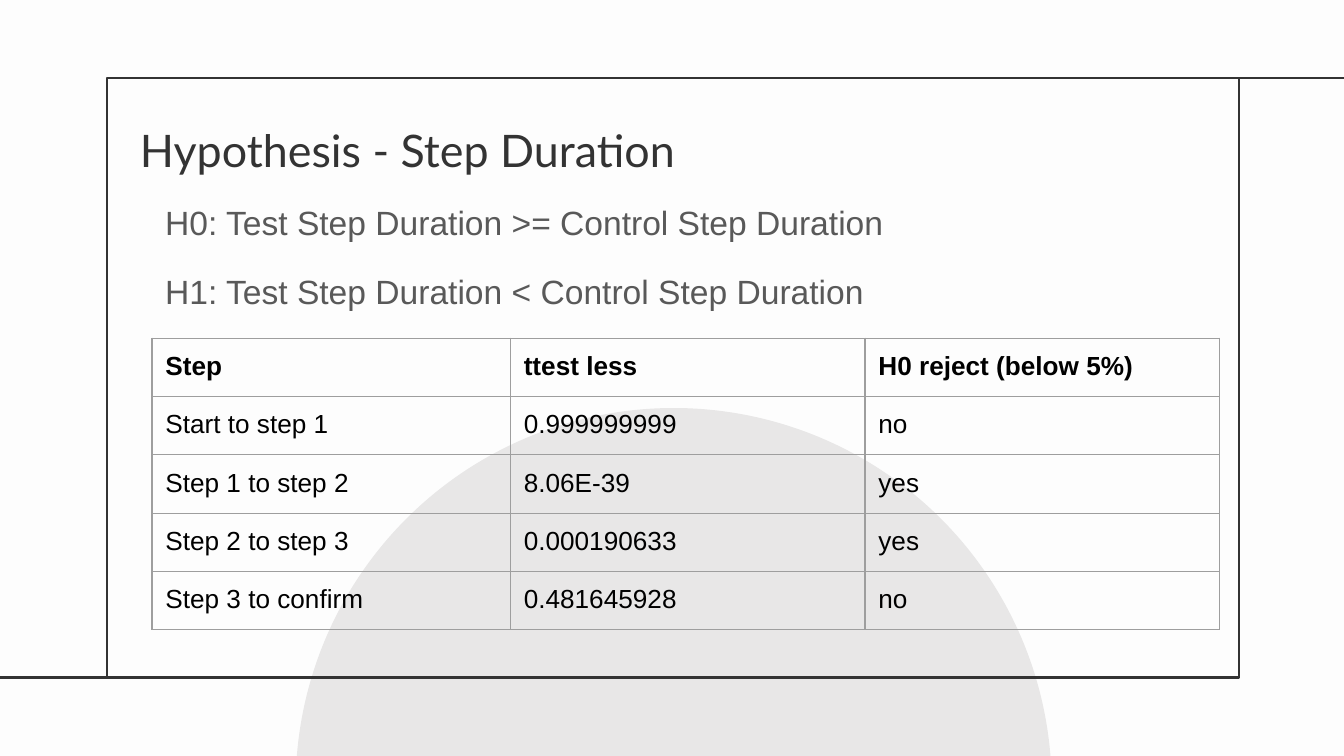
import pptx
import pptx.dml.color
import pptx.enum.shapes
import pptx.enum.text
import pptx.oxml
import pptx.oxml.ns
import pptx.util
from lxml import etree

Pt = pptx.util.Pt
SHAPE = pptx.enum.shapes.MSO_SHAPE

TITLE = "Hypothesis - Step Duration"
HYPOTHESES = [
    "H0: Test Step Duration >= Control Step Duration",
    "H1: Test Step Duration < Control Step Duration",
]
RESULTS = [
    ("Step", "ttest less", "H0 reject (below 5%)"),
    ("Start to step 1", "0.999999999", "no"),
    ("Step 1 to step 2", "8.06E-39", "yes"),
    ("Step 2 to step 3", "0.000190633", "yes"),
    ("Step 3 to confirm", "0.481645928", "no"),
]

THEME = {
    "background": "FDFDFD",
    "circle": "E8E7E7",
    "frame": "333333",
    "frame_width": 1.5,
    "grid": "9E9E9E",
    "grid_width": 0.75,
    "title": {"name": "Lato", "size": Pt(24), "color": "333333"},
    "body": {"name": "Arial", "size": Pt(18), "color": "595959"},
    "cell": {"name": "Arial", "size": Pt(14), "color": "000000", "bold": False},
    "header": {"name": "Arial", "size": Pt(14), "color": "000000", "bold": True},
}

PAGE_WIDTH, PAGE_HEIGHT = 720, 405
FRAME_LEFT, FRAME_TOP, FRAME_WIDTH, FRAME_HEIGHT = 57.4, 41.8, 606.4, 321
CIRCLE_LEFT, CIRCLE_TOP, CIRCLE_SIZE = 158.4, 218.6, 405
TITLE_BOX = (67.9, 58.5, 358, 44)
BODY_BOX = (81.4, 98, 549, 148)
TABLE_LEFT, TABLE_TOP, ROW_HEIGHT = 81.4, 181.2, 30.5
COLUMN_WIDTHS = (192, 190, 190)
INSET = 7.2


def rgb(value):
    return pptx.dml.color.RGBColor.from_string(value)


def set_all(target, values):
    for name, value in values.items():
        setattr(target, name, value)


def write(para, text, style):
    span = para.add_run()
    span.text = text
    set_all(span.font, {k: v for k, v in style.items() if k != "color"})
    span.font.color.rgb = rgb(style["color"])


def set_line(shape):
    shape.line.color.rgb = rgb(THEME["frame"])
    shape.line.width = Pt(THEME["frame_width"])


def add_text(page, bounds, lines, style, spacing):
    box = page.shapes.add_textbox(*map(Pt, bounds))
    set_all(box.text_frame, {
        "word_wrap": True,
        "vertical_anchor": pptx.enum.text.MSO_ANCHOR.TOP,
        **{f"margin_{side}": Pt(INSET) for side in ("left", "top", "right", "bottom")},
    })
    for index, line in enumerate(lines):
        para = box.text_frame.paragraphs[0] if index == 0 else box.text_frame.add_paragraph()
        set_all(para, {"line_spacing": spacing, "space_before": Pt(12 if index else 0)})
        write(para, line, style)


def add_background(page):
    page.background.fill.solid()
    page.background.fill.fore_color.rgb = rgb(THEME["background"])
    circle = page.shapes.add_shape(
        SHAPE.OVAL, *map(Pt, (CIRCLE_LEFT, CIRCLE_TOP, CIRCLE_SIZE, CIRCLE_SIZE)))
    circle.shadow.inherit = False
    circle.fill.solid()
    circle.fill.fore_color.rgb = rgb(THEME["circle"])
    circle.line.fill.background()


def add_frame(page):
    group = page.shapes.add_group_shape()
    frame = group.shapes.add_shape(
        SHAPE.RECTANGLE, *map(Pt, (FRAME_LEFT, FRAME_TOP, FRAME_WIDTH, FRAME_HEIGHT)))
    frame.shadow.inherit = False
    frame.fill.background()
    set_line(frame)
    for start, end, height in [
        (PAGE_WIDTH, FRAME_LEFT + FRAME_WIDTH, FRAME_TOP),
        (FRAME_LEFT, 0, FRAME_TOP + FRAME_HEIGHT),
    ]:
        rule = group.shapes.add_connector(
            pptx.enum.shapes.MSO_CONNECTOR.STRAIGHT, *map(Pt, (start, height, end, height)))
        set_line(rule)
        etree.SubElement(rule._element.spPr, pptx.oxml.ns.qn("a:effectLst"))


def add_borders(cell):
    properties = cell._tc.get_or_add_tcPr()
    for index, side in enumerate(("lnL", "lnR", "lnT", "lnB")):
        border = pptx.oxml.parse_xml(
            f'<a:{side} {pptx.oxml.ns.nsdecls("a")} w="{Pt(THEME["grid_width"])}">'
            f'<a:solidFill><a:srgbClr val="{THEME["grid"]}"/></a:solidFill></a:{side}>')
        properties.insert(index, border)


def add_results(page):
    size = (sum(COLUMN_WIDTHS), ROW_HEIGHT * len(RESULTS))
    table = page.shapes.add_table(
        len(RESULTS), len(COLUMN_WIDTHS), *map(Pt, (TABLE_LEFT, TABLE_TOP, *size))).table
    set_all(table, {"first_row": False, "horz_banding": False})
    for column, width in zip(table.columns, COLUMN_WIDTHS):
        column.width = Pt(width)
    for row_index, values in enumerate(RESULTS):
        table.rows[row_index].height = Pt(ROW_HEIGHT)
        style = THEME["cell" if row_index else "header"]
        for column_index, value in enumerate(values):
            cell = table.cell(row_index, column_index)
            set_all(cell, {f"margin_{side}": Pt(INSET)
                           for side in ("left", "top", "right", "bottom")})
            cell.fill.background()
            add_borders(cell)
            write(cell.text_frame.paragraphs[0], value, style)


def main():
    deck = pptx.Presentation()
    set_all(deck, {"slide_width": Pt(PAGE_WIDTH), "slide_height": Pt(PAGE_HEIGHT)})
    page = deck.slides.add_slide(deck.slide_layouts[6])
    add_background(page)
    add_frame(page)
    add_text(page, TITLE_BOX, [TITLE], THEME["title"], 1.0)
    add_text(page, BODY_BOX, HYPOTHESES, THEME["body"], 1.15)
    add_results(page)
    deck.save("out.pptx")


if __name__ == "__main__":
    main()
